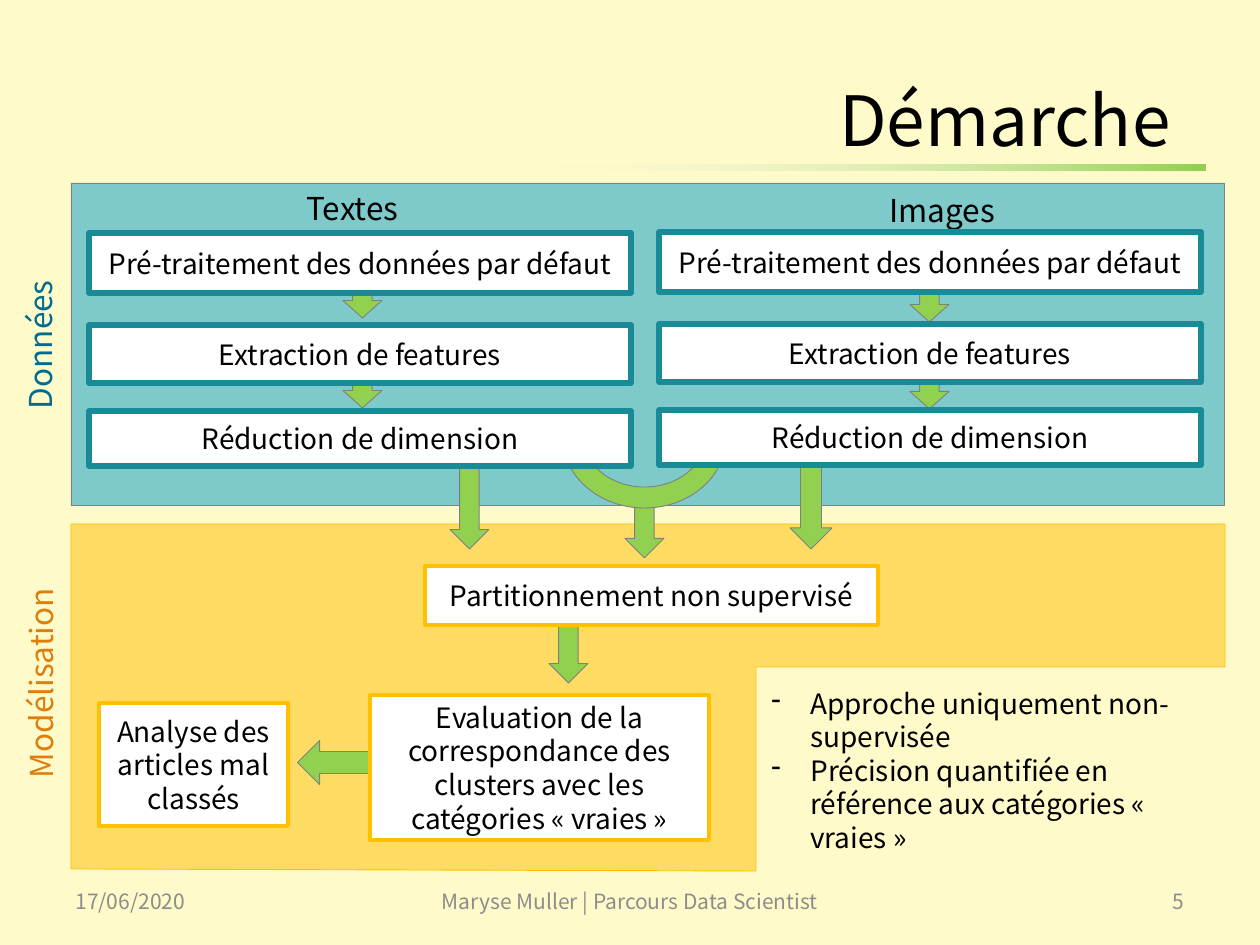
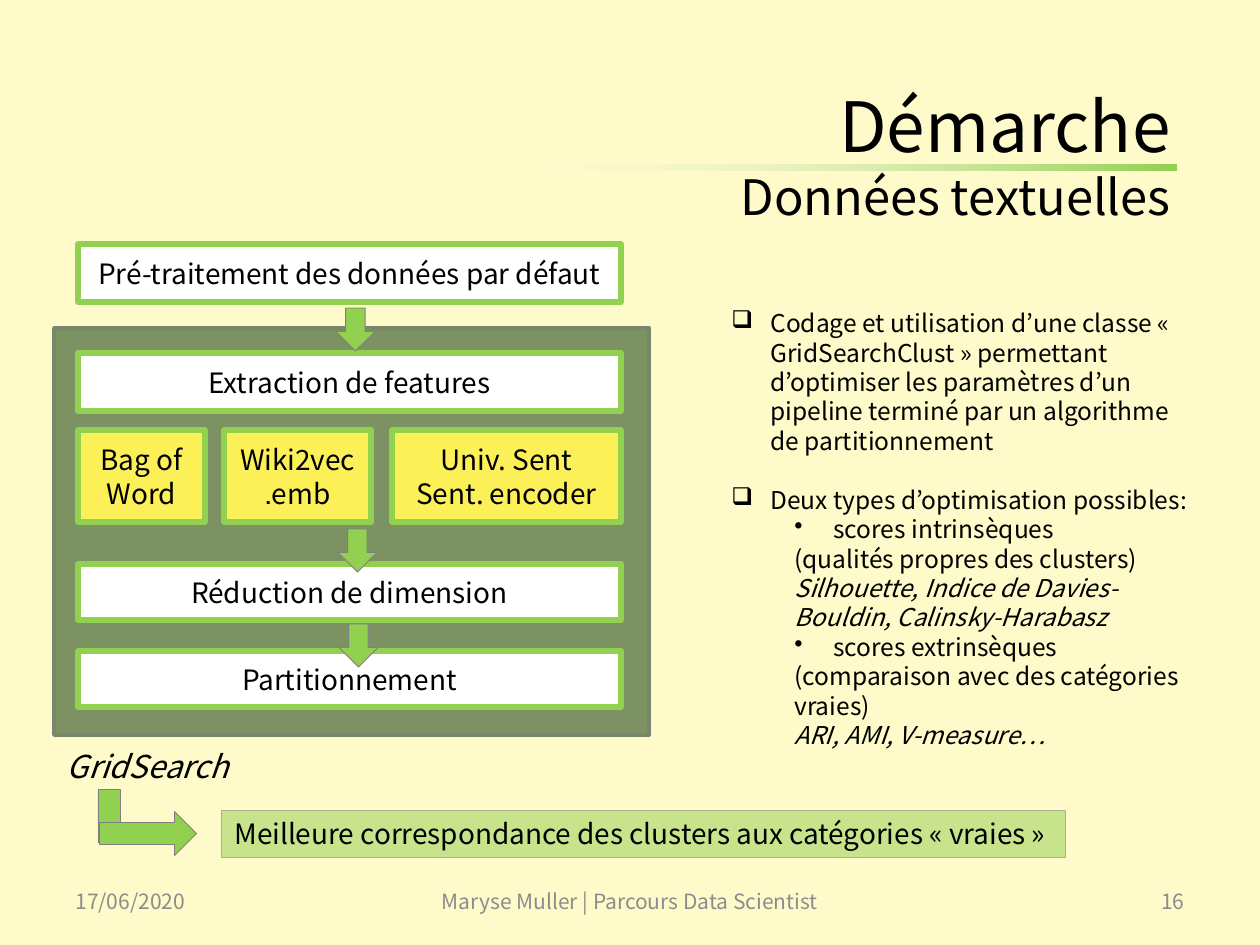
from lxml import etree
from pptx import Presentation
from pptx.dml.color import RGBColor
from pptx.enum.shapes import MSO_SHAPE
from pptx.enum.text import MSO_ANCHOR, MSO_AUTO_SIZE, PP_ALIGN
from pptx.oxml.ns import qn
from pptx.util import Pt

SCALE = 914400 / 126
FONT = "Noto Sans CJK JP"
RECT, DOWN, ARC = MSO_SHAPE.RECTANGLE, MSO_SHAPE.DOWN_ARROW, MSO_SHAPE.BLOCK_ARC
LEFT, MID, RIGHT = PP_ALIGN.LEFT, PP_ALIGN.CENTER, PP_ALIGN.RIGHT
TOP, CENTER = MSO_ANCHOR.TOP, MSO_ANCHOR.MIDDLE
FIT, FIXED = MSO_AUTO_SIZE.SHAPE_TO_FIT_TEXT, MSO_AUTO_SIZE.NONE
COLORS = {
    "cream": "FEFAC9", "white": "FFFFFF", "black": "000000",
    "gray": "808080", "foot": "8C8C8C", "pale": "EEF2EA",
    "green": "92D050", "sage": "A5B592", "olive": "7D9263", "moss": "7A866C",
    "blue": "0099CC", "navy": "006C92", "teal": "198B97",
    "gold": "FFC000", "orange": "DD7E0E", "yellow": "FCF059",
}
PREP = "Pré-traitement des données par défaut"
EXTRACT = "Extraction de features"
REDUCE = "Réduction de dimension"


def px(value):
    return round(value * SCALE)


def place(spot):
    return [px(value) for value in spot]


def rgb(name):
    return RGBColor.from_string(COLORS[name])


def fade(shape, index, percent):
    colors = shape._element.spPr.findall(".//" + qn("a:srgbClr"))
    etree.SubElement(colors[index], qn("a:alpha"), val=str(percent * 1000))


def text(shape, lines, size=16, color="black", align=LEFT, anchor=TOP,
         wrap=True, fit=FIXED, italic=False, rtl=False):
    frame = shape.text_frame
    frame.word_wrap = wrap
    frame.auto_size = fit
    frame.vertical_anchor = anchor
    for i, line in enumerate(lines):
        words, own = line if isinstance(line, tuple) else (line, {})
        para = frame.add_paragraph() if i else frame.paragraphs[0]
        para.alignment = align
        if "gap" in own:
            para.space_before = Pt(own["gap"])
        props = para._p.get_or_add_pPr()
        if rtl:
            props.set("rtl", "1")
        if "left" in own:
            props.set("marL", str(px(own["left"])))
            props.set("indent", str(px(own.get("hang", 0))))
        if "mark" in own:
            etree.SubElement(props, qn("a:buChar"), char=own["mark"])
        run = para.add_run()
        run.text = words
        font = run.font
        font.name = FONT
        font.size = Pt(own.get("size", size))
        font.italic = own.get("italic", italic)
        font.color.rgb = rgb(color)


def label(slide, spot, lines, turn=0, **form):
    box = slide.shapes.add_textbox(*place(spot))
    box.rotation = turn
    text(box, lines, **form)


def paint(shape, fill, line, width, clear=None):
    shape.shadow.inherit = False
    shape.fill.solid()
    shape.fill.fore_color.rgb = rgb(fill)
    shape.line.color.rgb = rgb(line)
    shape.line.width = Pt(width)
    if clear:
        fade(shape, 0, clear)


def block(slide, spot, fill, line, width=0.5, kind=RECT, turn=0, clear=None):
    shape = slide.shapes.add_shape(kind, *place(spot))
    shape.rotation = turn
    paint(shape, fill, line, width, clear)
    return shape


def card(slide, spot, words, line, width=3, fill="white", rtl=False):
    shape = block(slide, spot, fill, line, width)
    text(shape, [words], align=MID, anchor=CENTER, rtl=rtl)


def arrow(slide, left, top, width, height, turn=0):
    block(slide, (left, top, width, height), "green", "gray", kind=DOWN, turn=turn)


def rule(slide, left):
    bar = slide.shapes.add_shape(RECT, *place((left, 165, 649, 6)))
    bar.shadow.inherit = False
    bar.line.fill.background()
    bar.fill.gradient()
    bar.fill.gradient_angle = 180
    for stop, name in zip(bar.fill.gradient_stops, ("green", "pale")):
        stop.color.rgb = rgb(name)
    fade(bar, 1, 0)


def start(deck, lines, number, left):
    slide = deck.slides.add_slide(deck.slide_layouts[5])
    title = slide.shapes.title
    title.left, title.top, title.width, title.height = place((151, 81, 1032, 147))
    text(title, lines, size=39.6, align=RIGHT, anchor=CENTER)
    rule(slide, left)
    for x, width, words, align in (
        (63, 294, "17/06/2020", LEFT),
        (397, 466, "Maryse Muller | Parcours Data Scientist", MID),
        (903, 294, number, RIGHT),
    ):
        label(slide, (x, 876, width, 50), [words], size=12, color="foot",
              align=align, anchor=CENTER)
    return slide


def column(slide, left, top, mid, downs):
    for y in downs:
        arrow(slide, mid, y, 39, 35)
    for words, drop, height in ((PREP, 0, 60), (EXTRACT, 92, 58), (REDUCE, 178, 55)):
        card(slide, (left, top + drop, 542, height), words, "teal")


def flow(deck):
    slide = start(deck, ["Démarche"], "5", 557)
    frame = slide.shapes.title.text_frame
    frame.margin_top, frame.margin_bottom = 0, px(72)

    pen = slide.shapes.build_freeform(71, 524, scale=SCALE)
    pen.add_line_segments(
        [(1225, 524), (1225, 667), (756, 667), (756, 871), (71, 869)], close=True)
    paint(pen.convert_to_shape(), "gold", "gold", 0.5, 50)
    block(slide, (71, 183, 1154, 323), "blue", "gray", clear=50)
    label(slide, (-67, 658, 215, 50), ["Modélisation"], turn=270, size=18,
          color="orange", wrap=False, fit=FIT)
    label(slide, (-38, 319, 155, 50), ["Données"], turn=270, size=18,
          color="navy", wrap=False, fit=FIT)

    arrow(slide, 324, 714, 44, 97, turn=90)
    arrow(slide, 549, 596, 39, 87)
    arrow(slide, 625, 505, 39, 53)
    arc = block(slide, (563, 368, 163, 140), "green", "gray", kind=ARC, turn=180)
    for i, value in enumerate((108, 3.44, 0.15)):
        arc.adjustments[i] = value
    arrow(slide, 450, 464, 39, 85)
    arrow(slide, 790, 462, 42, 87)

    for spot, words in (
        ((99, 703, 189, 123), "Analyse des articles mal classés"),
        ((370, 695, 339, 145), "Evaluation de la correspondance des clusters "
                               "avec les catégories « vraies »"),
        ((425, 566, 453, 59), "Partitionnement non supervisé"),
    ):
        card(slide, spot, words, "gold", 2.25)

    dash = {"left": 39, "hang": -39, "mark": "-"}
    label(slide, (759, 680, 446, 183), [
        ("Approche uniquement non-supervisée", dash),
        ("Précision quantifiée en référence aux catégories « vraies »", dash),
    ], fit=FIT)

    label(slide, (294, 183, 123, 50), ["Textes"], size=18, wrap=False, fit=FIT)
    column(slide, 89, 233, 343, (283, 373))
    label(slide, (877, 185, 131, 50), ["Images"], size=18, wrap=False, fit=FIT)
    column(slide, 659, 232, 910, (287, 374))


def search(deck):
    slide = start(deck, ["Démarche", ("Données textuelles", {"size": 27.9})], "16", 527)
    block(slide, (54, 328, 595, 407), "olive", "moss", 2)
    for words, top, height in (
        (PREP, 244, 58), (EXTRACT, 353, 58), (REDUCE, 564, 56), ("Partitionnement", 651, 56),
    ):
        card(slide, (78, top, 543, height), words, "green")
    for words, left, width, rtl in (
        ("Bag of Word", 78, 127, False),
        ("Wiki2vec emb.", 224, 147, True),
        ("Univ. Sent Sent. encoder", 392, 229, False),
    ):
        card(slide, (left, 430, width, 92), words, "green", fill="yellow", rtl=rtl)
    for left, top in ((336, 308), (338, 529), (339, 624)):
        arrow(slide, left, top, 39, 43)

    label(slide, (54, 741, 189, 50), ["GridSearch"], size=18, italic=True,
          wrap=False, fit=FIT)
    block(slide, (98, 790, 23, 53), "green", "gray")
    arrow(slide, 126, 785, 44, 97, turn=270)
    best = block(slide, (222, 810, 844, 47), "green", "sage", clear=50)
    text(best, ["Meilleure correspondance des clusters aux catégories « vraies »"], fit=FIT)

    check = {"left": 39, "hang": -39, "mark": "❑"}
    dot = {"left": 102, "hang": -39, "mark": "•"}
    note = {"left": 63}
    sample = {"left": 63, "italic": True}
    label(slide, (719, 302, 496, 459), [
        ("Codage et utilisation d’une classe « GridSearchClust » permettant d’optimiser "
         "les paramètres d’un pipeline terminé par un algorithme de partitionnement", check),
        ("Deux types d’optimisation possibles:", {**check, "gap": 16.8}),
        ("scores intrinsèques", dot),
        ("(qualités propres des clusters)", note),
        ("Silhouette, Indice de Davies-Bouldin, Calinsky-Harabasz", sample),
        ("scores extrinsèques", dot),
        ("(comparaison avec des catégories vraies)", note),
        ("ARI, AMI, V-measure…", sample),
    ], size=14, fit=FIT)


def main():
    deck = Presentation()
    deck.slide_width, deck.slide_height = px(1260), px(945)
    back = deck.slide_master.background.fill
    back.solid()
    back.fore_color.rgb = rgb("cream")
    flow(deck)
    search(deck)
    deck.save("out.pptx")


if __name__ == "__main__":
    main()
